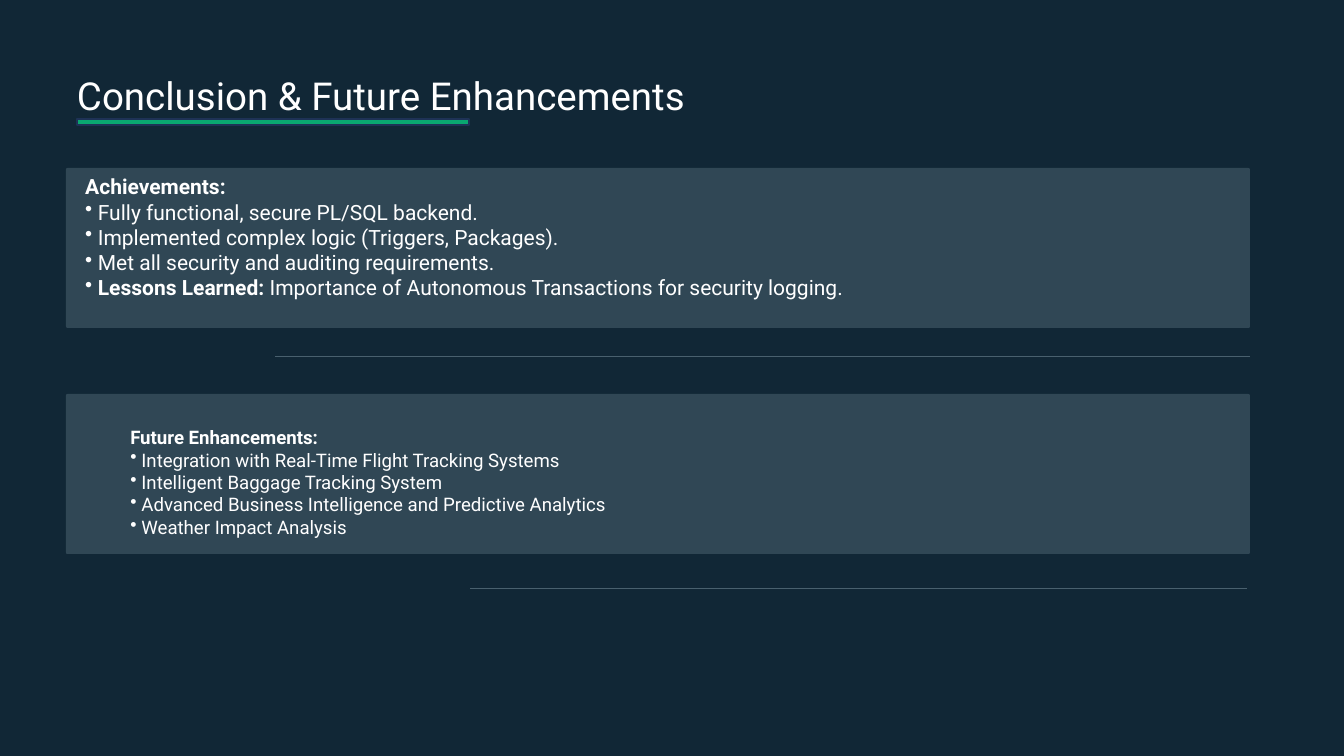
from lxml.etree import SubElement
from pptx import Presentation
from pptx.dml.color import RGBColor
from pptx.enum.shapes import MSO_CONNECTOR, MSO_SHAPE
from pptx.enum.text import MSO_ANCHOR, MSO_AUTO_SIZE
from pptx.oxml.ns import qn
from pptx.util import Pt

EMU_PER_PX = 914400 / 84
FONT = "Roboto"
BACKGROUND, PANEL, RULE = "112736", "304755", "49606E"
ACCENT, ACCENT_EDGE, WHITE = "0AA770", "1E3256", "FFFFFF"

ACHIEVEMENTS = [
    [("Achievements:", True)],
    [(" Fully functional, secure PL/SQL backend.", False)],
    [(" Implemented complex logic (Triggers, Packages).", False)],
    [(" Met all security and auditing requirements.", False)],
    [(" Lessons Learned:", True),
     (" Importance of Autonomous Transactions for security logging.", False)],
]
ENHANCEMENTS = [
    [("Future Enhancements:", True)],
    [(" Integration with Real-Time Flight Tracking Systems", False)],
    [(" Intelligent Baggage Tracking System", False)],
    [(" Advanced Business Intelligence and Predictive Analytics", False)],
    [(" Weather Impact Analysis", False)],
]


def px(length):
    return round(length * EMU_PER_PX)


def color(value):
    return RGBColor.from_string(value)


def add_block(slide, box, fill, preset=MSO_SHAPE.RECTANGLE, edge=None):
    shape = slide.shapes.add_shape(preset, *map(px, box))
    shape.shadow.inherit = False
    shape.fill.solid()
    shape.fill.fore_color.rgb = color(fill)
    if edge:
        shape.line.color.rgb = color(edge)
        shape.line.width = Pt(1)
    else:
        shape.line.fill.background()
    return shape


def add_rule(slide, left, right, y):
    rule = slide.shapes.add_connector(
        MSO_CONNECTOR.STRAIGHT, px(left), px(y), px(right), px(y))
    rule.line.color.rgb = color(RULE)
    rule.line.width = Pt(0.75)
    SubElement(rule._element.spPr, qn("a:effectLst"))


def add_bullet(paragraph):
    properties = paragraph._p.get_or_add_pPr()
    properties.set("marL", "0")
    properties.set("indent", "0")
    SubElement(properties, qn("a:buChar")).set("char", "•")


def add_text(slide, box, paragraphs, size, wrap=False, bullets=False,
             margin=None, anchor=MSO_ANCHOR.TOP, line_spacing=None,
             auto_size=MSO_AUTO_SIZE.NONE):
    frame = slide.shapes.add_textbox(*map(px, box)).text_frame
    frame.word_wrap = wrap
    frame.auto_size = auto_size
    frame.vertical_anchor = anchor
    if margin is not None:
        frame.margin_left = frame.margin_right = px(margin)
        frame.margin_top = frame.margin_bottom = px(margin)
    for index, runs in enumerate(paragraphs):
        paragraph = frame.add_paragraph() if index else frame.paragraphs[0]
        if line_spacing:
            paragraph.line_spacing = Pt(line_spacing)
        if bullets and index:
            add_bullet(paragraph)
        for words, bold in runs:
            run = paragraph.add_run()
            run.text = words
            run.font.name = FONT
            run.font.size = Pt(size)
            run.font.bold = bold
            run.font.color.rgb = color(WHITE)


def add_title(slide, left, top, width, height):
    add_text(slide, (left, top, width, height),
             [[("Conclusion & Future Enhancements", False)]],
             size=33, margin=0, line_spacing=41.5)
    # Accent bar below the title
    add_block(slide, (left, top + height, 392, 6), ACCENT, edge=ACCENT_EDGE)


def add_panel(slide, box, inset, paragraphs, size, wrap=False):
    left, top, width, height = box
    panel = add_block(slide, box, PANEL, MSO_SHAPE.ROUNDED_RECTANGLE)
    panel.adjustments[0] = 0.01
    # Heading and bullet list inside the panel
    dx, dy, text_width, text_height = inset
    add_text(slide, (left + dx, top + dy, text_width, text_height), paragraphs,
             size, wrap=wrap, bullets=True, anchor=MSO_ANCHOR.MIDDLE,
             auto_size=MSO_AUTO_SIZE.SHAPE_TO_FIT_TEXT)


def build_conclusion(slide):
    slide.background.fill.solid()
    slide.background.fill.fore_color.rgb = color(BACKGROUND)
    add_title(slide, 77, 70, 711, 49)
    # Panels, each followed by a thin rule
    add_panel(slide, (66, 168, 1184, 160), (11, 1, 780, 136), ACHIEVEMENTS, 18)
    add_rule(slide, 275, 1250, 356)
    add_panel(slide, (66, 394, 1184, 160), (56, 27, 1113, 122),
              ENHANCEMENTS, 16, wrap=True)
    add_rule(slide, 470, 1247, 588)


def main():
    presentation = Presentation()
    presentation.slide_width = px(1344)
    presentation.slide_height = px(756)
    build_conclusion(presentation.slides.add_slide(presentation.slide_layouts[6]))
    presentation.save("out.pptx")


if __name__ == "__main__":
    main()
